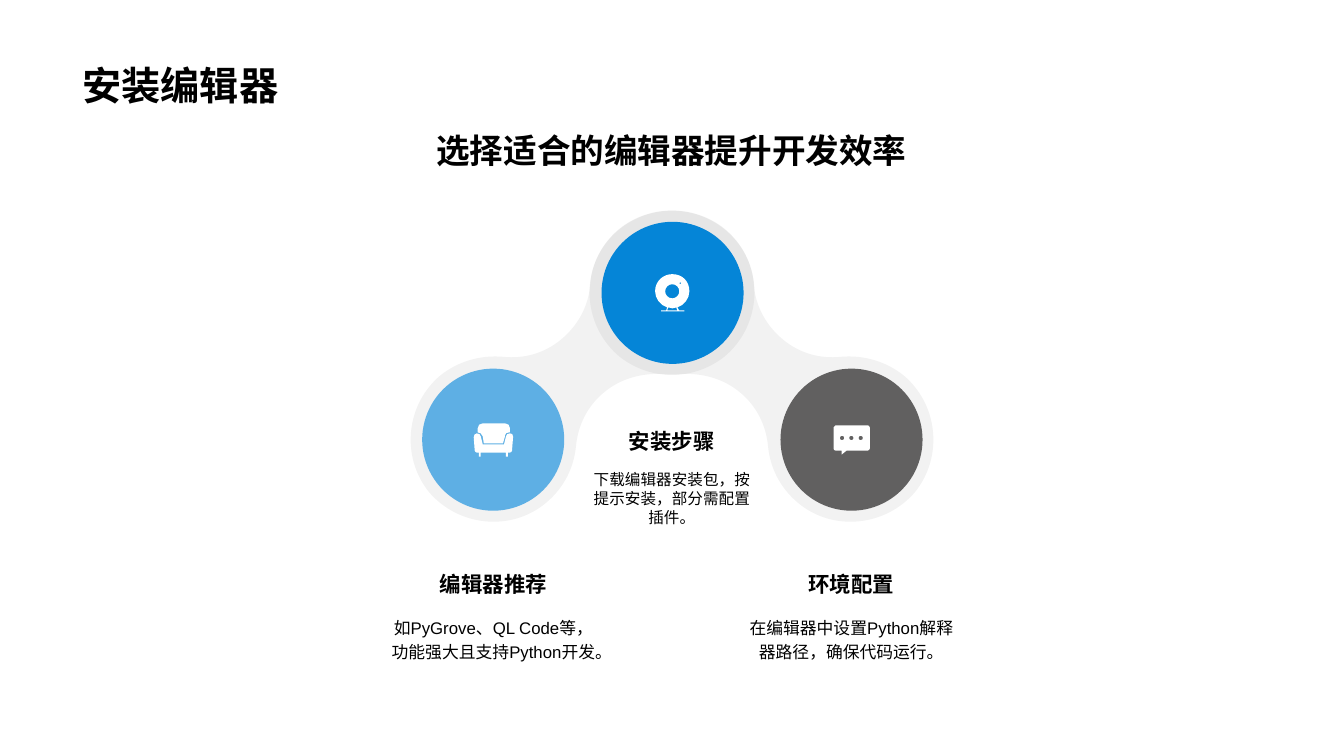
from dataclasses import dataclass

from lxml.etree import SubElement
from pptx import Presentation
from pptx.dml.color import RGBColor
from pptx.enum.shapes import MSO_SHAPE as Preset
from pptx.enum.text import MSO_ANCHOR as Anchor, PP_ALIGN as Align
from pptx.oxml.ns import qn
from pptx.util import Cm, Pt

COLORS = {
    "ink": "000000",
    "white": "FFFFFF",
    "bridge": "808080",
    "sky": "5EAFE4",
    "blue": "0585D7",
    "gray": "616060",
}
FONT = "Arial"
UNIT = Cm(0.0254)  # one step of the outline coordinates
PAGE_WIDTH = 1333.5  # in the same steps
DISC_SIZE = 3.58  # cm


@dataclass
class Node:
    x: float
    y: float
    curved: bool


Contour = list[Node]


@dataclass
class Topic:
    heading: str
    body: str
    left: float
    top: float
    width: float
    body_size: float
    line_spacing: float


@dataclass
class Disc:
    center_x: float
    center_y: float
    color: str
    icon: list[Contour]


def trace(path: str) -> Contour:
    """Read M, L and C commands; a curve takes three nodes in a row."""
    nodes: Contour = []
    command, numbers = "M", []
    for word in path.split():
        if word in "MLC":
            command = word
            continue
        numbers.append(float(word))
        if len(numbers) == 2:
            nodes.append(Node(*numbers, command == "C"))
            numbers = []
    return nodes


def ring(x: float, y: float, r: float) -> Contour:
    k = 0.55 * r
    return trace(f"M {x + r} {y} C {x + r} {y + k} {x + k} {y + r} {x} {y + r} "
                 f"{x - k} {y + r} {x - r} {y + k} {x - r} {y} "
                 f"{x - r} {y - k} {x - k} {y - r} {x} {y - r} "
                 f"{x + k} {y - r} {x + r} {y - k} {x + r} {y}")


def paint(shape, color: str, opacity: int = 100) -> None:
    shape.shadow.inherit = False
    shape.line.fill.background()
    shape.fill.solid()
    shape.fill.fore_color.rgb = RGBColor.from_string(COLORS[color])
    if opacity < 100:
        tint = shape.fill._xPr.find(qn("a:solidFill"))[0]
        SubElement(tint, qn("a:alpha")).set("val", str(opacity * 1000))


def bend(shape, contours: list[Contour]) -> None:
    """Join each three line steps of a curve into one Bézier step."""
    outline = next(shape._element.iter(qn("a:path")))
    lines = outline.findall(qn("a:lnTo"))
    nodes = [node for contour in contours for node in contour[1:]]
    curved = [line for line, node in zip(lines, nodes) if node.curved]
    for first in range(0, len(curved), 3):
        curve = SubElement(outline, qn("a:cubicBezTo"))
        curved[first].addprevious(curve)
        for line in curved[first:first + 3]:
            curve.append(line[0])
            outline.remove(line)


def draw_outline(page, contours: list[Contour], color: str, opacity: int = 100) -> None:
    scaled = [[(node.x * UNIT, node.y * UNIT) for node in contour] for contour in contours]
    builder = page.shapes.build_freeform(*scaled[0][0], scale=1.0)
    for number, contour in enumerate(scaled):
        if number:
            builder.move_to(*contour[0])
        builder.add_line_segments(contour[1:], close=True)
    shape = builder.convert_to_shape()
    bend(shape, contours)
    paint(shape, color, opacity)


def draw_disc(page, disc: Disc) -> None:
    oval = page.shapes.add_shape(
        Preset.OVAL, Cm(disc.center_x - DISC_SIZE / 2), Cm(disc.center_y - DISC_SIZE / 2),
        Cm(DISC_SIZE), Cm(DISC_SIZE))
    paint(oval, disc.color)
    draw_outline(page, disc.icon, "white")


def write(page, text: str, *, left: float, top: float, width: float, height: float,
          size: float, bold: bool = False, align=Align.CENTER, anchor=Anchor.TOP,
          line_spacing: float = 1.0) -> None:
    box = page.shapes.add_textbox(Cm(left), Cm(top), Cm(width), Cm(height))
    frame = box.text_frame
    frame.word_wrap = True
    frame.vertical_anchor = anchor
    para = frame.paragraphs[0]
    para.alignment = align
    para.line_spacing = line_spacing
    span = para.add_run()
    span.text = text
    span.font.size = Pt(size)
    span.font.bold = bold
    span.font.color.rgb = RGBColor.from_string(COLORS["ink"])
    span.font.name = FONT
    SubElement(span.font._element, qn("a:ea")).set("typeface", FONT)


def draw_topic(page, topic: Topic) -> None:
    write(page, topic.heading, left=topic.left, top=topic.top, width=topic.width,
          height=0.76, size=15.3, bold=True, anchor=Anchor.BOTTOM)
    write(page, topic.body, left=topic.left, top=topic.top + 0.94, width=topic.width,
          height=1.7, size=topic.body_size, line_spacing=topic.line_spacing)


# Outlines
RIGHT_BRIDGE = trace(
    "M 792 499 C 774 484 764 464 762 442 760 422 751 403 734 389 717 375 696 370 676 371 "
    "655 374 633 368 615 354 580 325 575 273 603 239 632 204 684 199 719 227 "
    "737 242 747 263 748 284 750 304 760 323 777 337 794 351 814 356 834 354 "
    "856 352 878 358 896 372 931 401 936 453 908 488 879 522 827 528 792 499")
LEFT_BRIDGE = [Node(PAGE_WIDTH - node.x, node.y, node.curved) for node in RIGHT_BRIDGE]

SOFA = [
    trace("M 506 430 C 508 430 509 431 509 433 509 433 509 433 509 434 L 508 447 "
          "C 508 448 507 449 506 449 L 504 449 504 453 502 453 502 449 477 449 477 453 "
          "475 453 475 449 473 449 C 472 449 471 448 471 447 L 470 434 "
          "C 470 432 471 430 473 430 475 430 477 431 477 433 L 479 441 500 441 502 433 "
          "C 502 431 504 430 506 430"),
    trace("M 501 420 C 504 420 506 422 506 425 L 506 429 C 506 429 506 429 505 429 "
          "503 429 501 430 501 432 L 501 433 499 440 480 440 479 433 "
          "C 478 430 476 429 474 429 L 474 425 C 474 422 476 420 479 420 L 501 420"),
]
WEBCAM = [
    trace("M 667 272 C 677 272 684 279 684 289 684 296 679 303 672 305 "
          "L 674 308 679 308 679 309 656 309 656 308 661 308 662 305 "
          "C 655 303 650 296 650 289 650 279 658 272 667 272"),
    trace("M 663 305 L 662 308 672 308 671 305 C 670 305 669 306 667 306 666 306 665 305 663 305"),
    ring(667, 289, 7),
    ring(675, 281, 1),
]
CHAT = [
    trace("M 861 422 C 862 422 863 423 863 424 L 863 445 C 863 446 862 447 861 447 "
          "L 840 447 835 451 835 447 829 447 C 828 447 827 446 827 445 "
          "L 827 424 C 827 423 828 422 829 422 L 861 422"),
    *(ring(x, 434.5, 2.2) for x in (835.5, 844.75, 854)),
]

DISCS = [
    Disc(12.43, 11.08, "sky", SOFA),
    Disc(16.95, 7.38, "blue", WEBCAM),
    Disc(21.46, 11.08, "gray", CHAT),
]
TOPICS = [
    Topic("编辑器推荐", "如PyGrove、QL Code等，功能强大且支持Python开发。", 9.5, 14.4, 5.87, 12, 1.2),
    Topic("安装步骤", "下载编辑器安装包，按提示安装，部分需配置插件。", 14.58, 10.79, 4.7, 11.1, 1.0),
    Topic("环境配置", "在编辑器中设置Python解释器路径，确保代码运行。", 18.52, 14.4, 5.87, 12, 1.2),
]


def main() -> None:
    deck = Presentation()
    deck.slide_width, deck.slide_height = Cm(33.87), Cm(19.05)
    page = deck.slides.add_slide(deck.slide_layouts[6])

    # Title and subtitle
    write(page, "安装编辑器", left=1.83, top=0.36, width=30.18, height=2.49,
          size=28, bold=True, align=Align.LEFT, anchor=Anchor.BOTTOM)
    write(page, "选择适合的编辑器提升开发效率", left=1.83, top=3.15, width=30.18,
          height=2.08, size=24, bold=True)

    # Translucent bridges, then discs with icons
    for bridge in (RIGHT_BRIDGE, LEFT_BRIDGE):
        draw_outline(page, [bridge], "bridge", opacity=10)
    for disc in DISCS:
        draw_disc(page, disc)

    # Captions
    for topic in TOPICS:
        draw_topic(page, topic)

    deck.save("out.pptx")


if __name__ == "__main__":
    main()
